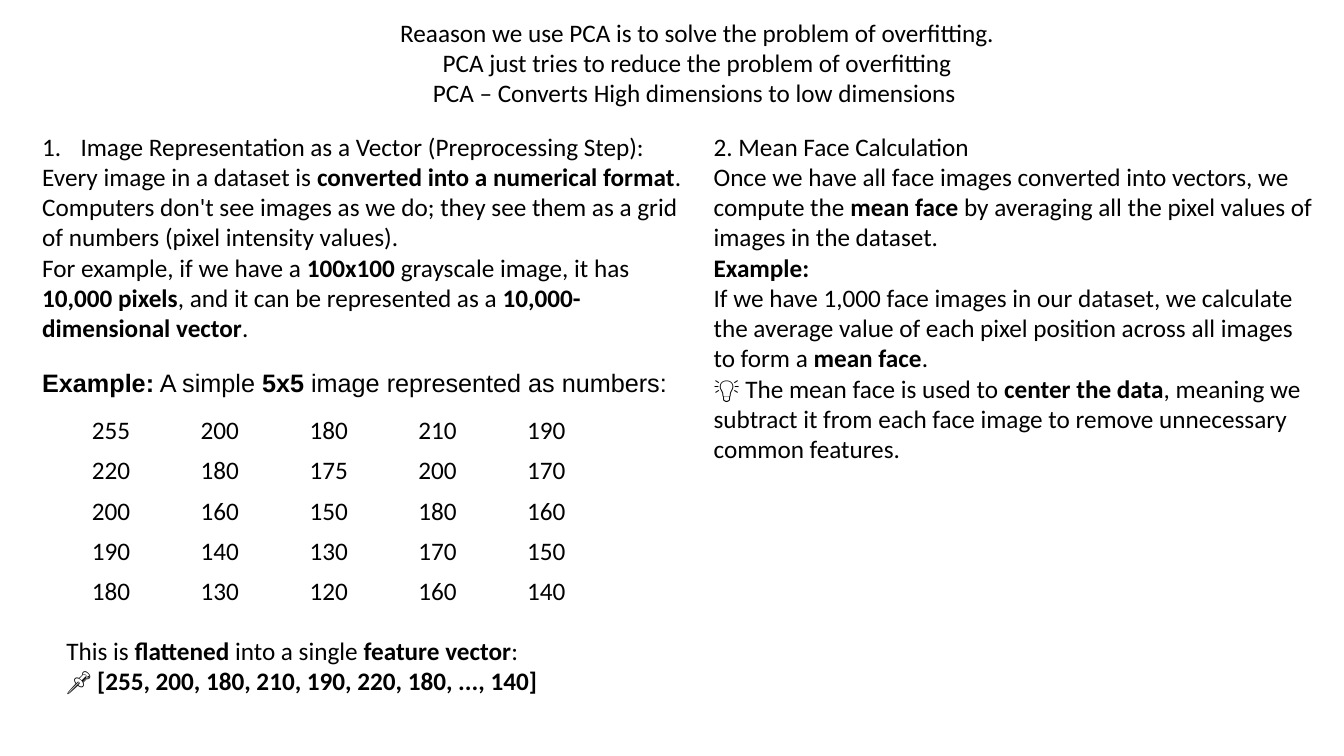
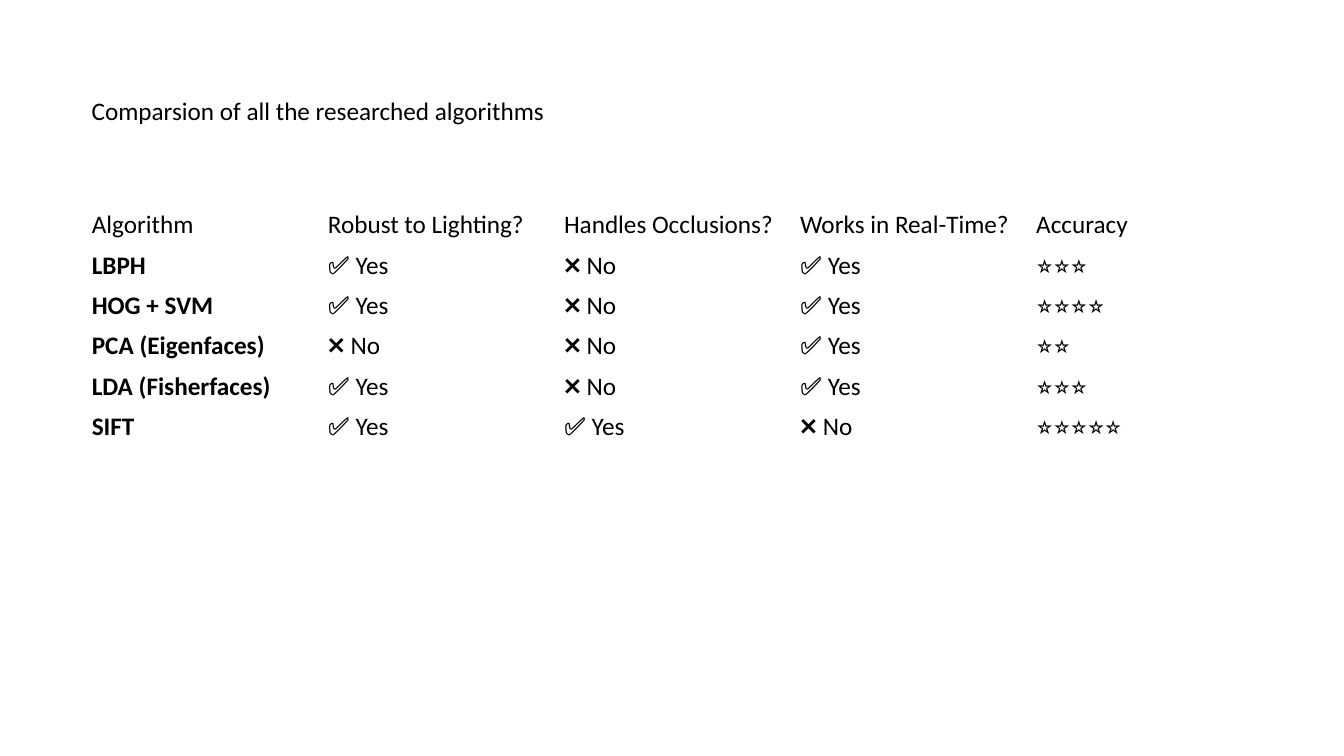
from lxml.etree import SubElement
from pptx import Presentation
from pptx.dml.color import RGBColor
from pptx.enum.text import MSO_ANCHOR as Anchor, MSO_AUTO_SIZE as AutoSize, PP_ALIGN as Align
from pptx.oxml.ns import qn
from pptx.util import Inches, Pt

W, H = Inches(13.33), Inches(7.5)
BLACK = RGBColor(0, 0, 0)
BODY = {"name": "Calibri", "size": Pt(18)}
ARIAL = {**BODY, "name": "Arial"}
INTRO_PARA = {"marL": Inches(0.5), "indent": 0, "lvl": 1}
NUMBERED_PARA = {"marL": Inches(0.38), "indent": -Inches(0.38)}
ROW_SHARE = 5.33

INTRO = [
    "Reaason we use PCA is to solve the problem of overfitting.",
    "PCA just tries to reduce the problem of overfitting",
    "PCA – Converts High dimensions to low dimensions ",
]
VECTOR_STEP = [
    "Image Representation as a Vector (Preprocessing Step):",
    "Every image in a dataset is **converted into a numerical format**. Computers don't see "
    "images as we do; they see them as a grid of numbers (pixel intensity values).\n"
    "For example, if we have a **100x100** grayscale image, it has **10,000 pixels**, "
    "and it can be represented as a **10,000-dimensional vector**.",
]
GRID_CAPTION = ["**Example:** A simple **5x5** image represented as numbers:"]
FLATTENED = [
    "This is **flattened** into a single **feature vector**:\n"
    "📌 **[255, 200, 180, 210, 190, 220, 180, ..., 140]**",
]
MEAN_FACE = [
    "2. Mean Face Calculation",
    "Once we have all face images converted into vectors, we compute the **mean face** "
    "by averaging all the pixel values of images in the dataset.",
    "**Example:**\nIf we have 1,000 face images in our dataset, we calculate the average value "
    "of each pixel position across all images to form a **mean face**.",
    "💡 The mean face is used to **center the data**, meaning we subtract it from each face "
    "image to remove unnecessary common features.",
]
PIXELS = [
    [255, 200, 180, 210, 190],
    [220, 180, 175, 200, 170],
    [200, 160, 150, 180, 160],
    [190, 140, 130, 170, 150],
    [180, 130, 120, 160, 140],
]
HEADERS = ["Algorithm", "Robust to Lighting?", "Handles Occlusions?", "Works in Real-Time?", "Accuracy"]
RATINGS = [
    ("LBPH", True, False, True, 3),
    ("HOG + SVM", True, False, True, 4),
    ("PCA (Eigenfaces)", False, False, True, 2),
    ("LDA (Fisherfaces)", True, False, True, 3),
    ("SIFT", True, True, False, 5),
]


def share(x, y, w, h):
    return [round(total * part / 100) for total, part in zip((W, H, W, H), (x, y, w, h))]


def set_attrs(obj, values):
    for name, value in values.items():
        setattr(obj, name, value)


def write(p, text, font=BODY):
    for i, chunk in enumerate(text.split("**")):
        for j, line in enumerate(chunk.split("\n")):
            if j:
                p.add_line_break()
            if line:
                r = p.add_run()
                r.text = line
                set_attrs(r.font, {**font, "bold": i % 2 == 1})
                r.font.color.rgb = BLACK


def format_para(p, values):
    pPr = p._p.get_or_add_pPr()
    for name, value in values.items():
        pPr.set(name, str(value))
    return pPr


def number(p):
    pPr = format_para(p, NUMBERED_PARA)
    SubElement(pPr, qn("a:buFont"), typeface="+mj-lt")
    SubElement(pPr, qn("a:buAutoNum"), type="arabicPeriod")


def add_text(slide, area, paras, font=BODY, anchor=Anchor.TOP):
    tf = slide.shapes.add_textbox(*share(*area)).text_frame
    set_attrs(tf, {"word_wrap": True, "auto_size": AutoSize.SHAPE_TO_FIT_TEXT, "vertical_anchor": anchor})
    for i, text in enumerate(paras):
        p = tf.add_paragraph() if i else tf.paragraphs[0]
        write(p, text, font)
    return tf


def add_plain_table(slide, x, y, w, rows):
    area = share(x, y, w, ROW_SHARE * len(rows))
    table = slide.shapes.add_table(len(rows), len(rows[0]), *area).table
    set_attrs(table, {"first_row": False, "horz_banding": False})
    for i, row in enumerate(rows):
        for j, value in enumerate(row):
            cell = table.cell(i, j)
            cell.fill.background()
            cell.vertical_anchor = Anchor.MIDDLE
            write(cell.text_frame.paragraphs[0], str(value))


def rating_row(name, *answers):
    *flags, stars = answers
    return [f"**{name}**", *("✅ Yes" if flag else "❌ No" for flag in flags), "⭐" * stars]


def pca_slide(slide):
    intro = add_text(slide, (14.33, 1.6, 71.34, 13.47), INTRO)
    for p in intro.paragraphs:
        format_para(p, INTRO_PARA)
        p.alignment = Align.CENTER
    step = add_text(slide, (2.4, 16.67, 49.44, 41.73), VECTOR_STEP)
    number(step.paragraphs[0])
    add_plain_table(slide, 6.08, 54.27, 40.5, PIXELS)
    add_text(slide, (2.4, 47.87, 68.87, 5.33), GRID_CAPTION, ARIAL, Anchor.MIDDLE)
    add_text(slide, (4.2, 83.33, 50, 9.47), FLATTENED)
    add_text(slide, (52.36, 16.67, 46.5, 49.87), MEAN_FACE)


def comparison_slide(slide):
    add_text(slide, (6.08, 12, 88.9, 5.33), ["Comparsion of all the researched algorithms"])
    add_plain_table(slide, 6.08, 27.07, 87.84, [HEADERS, *(rating_row(*rating) for rating in RATINGS)])


def main():
    prs = Presentation()
    set_attrs(prs, {"slide_width": W, "slide_height": H})
    for build in (pca_slide, comparison_slide):
        build(prs.slides.add_slide(prs.slide_layouts[6]))
    prs.save("out.pptx")


if __name__ == "__main__":
    main()
